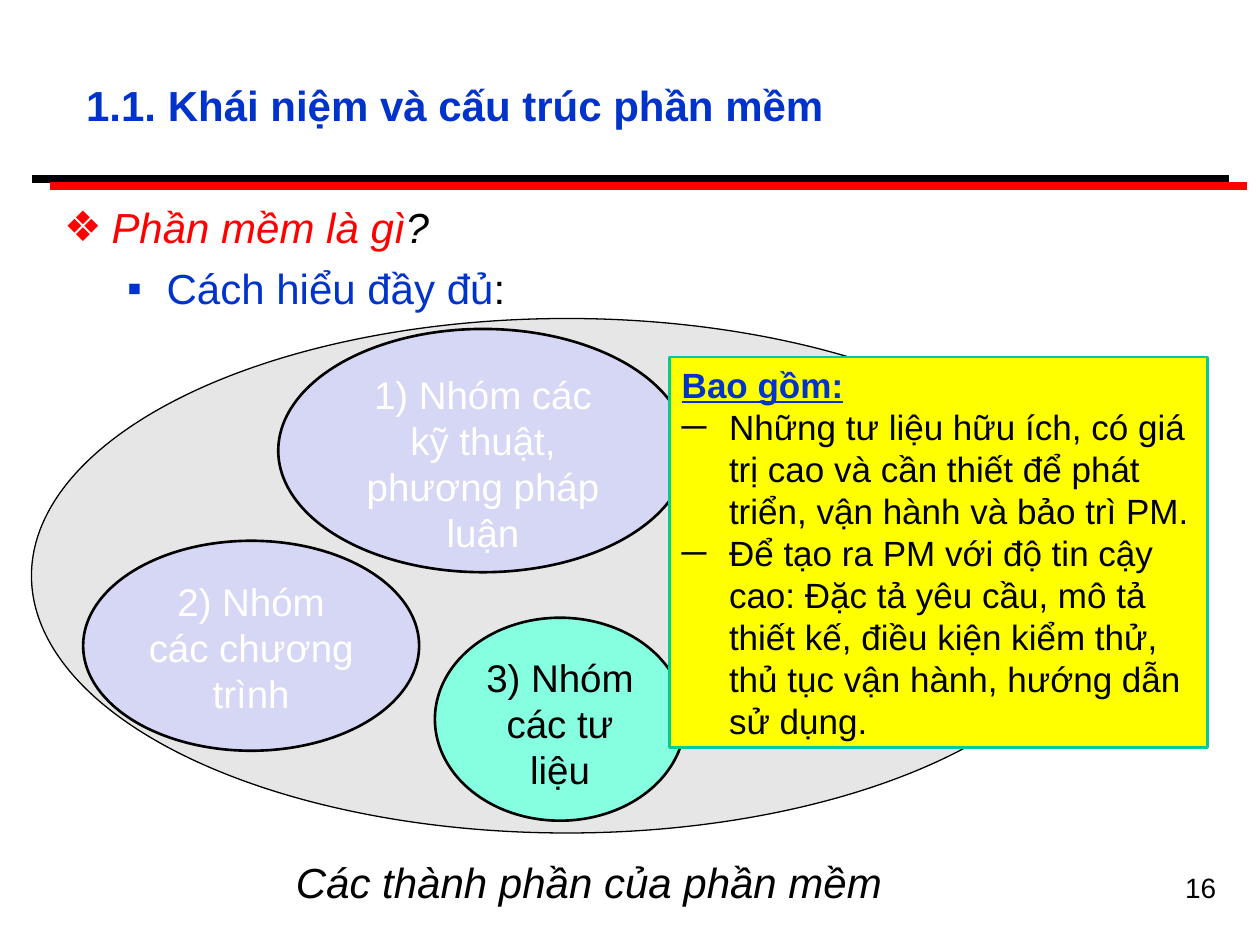
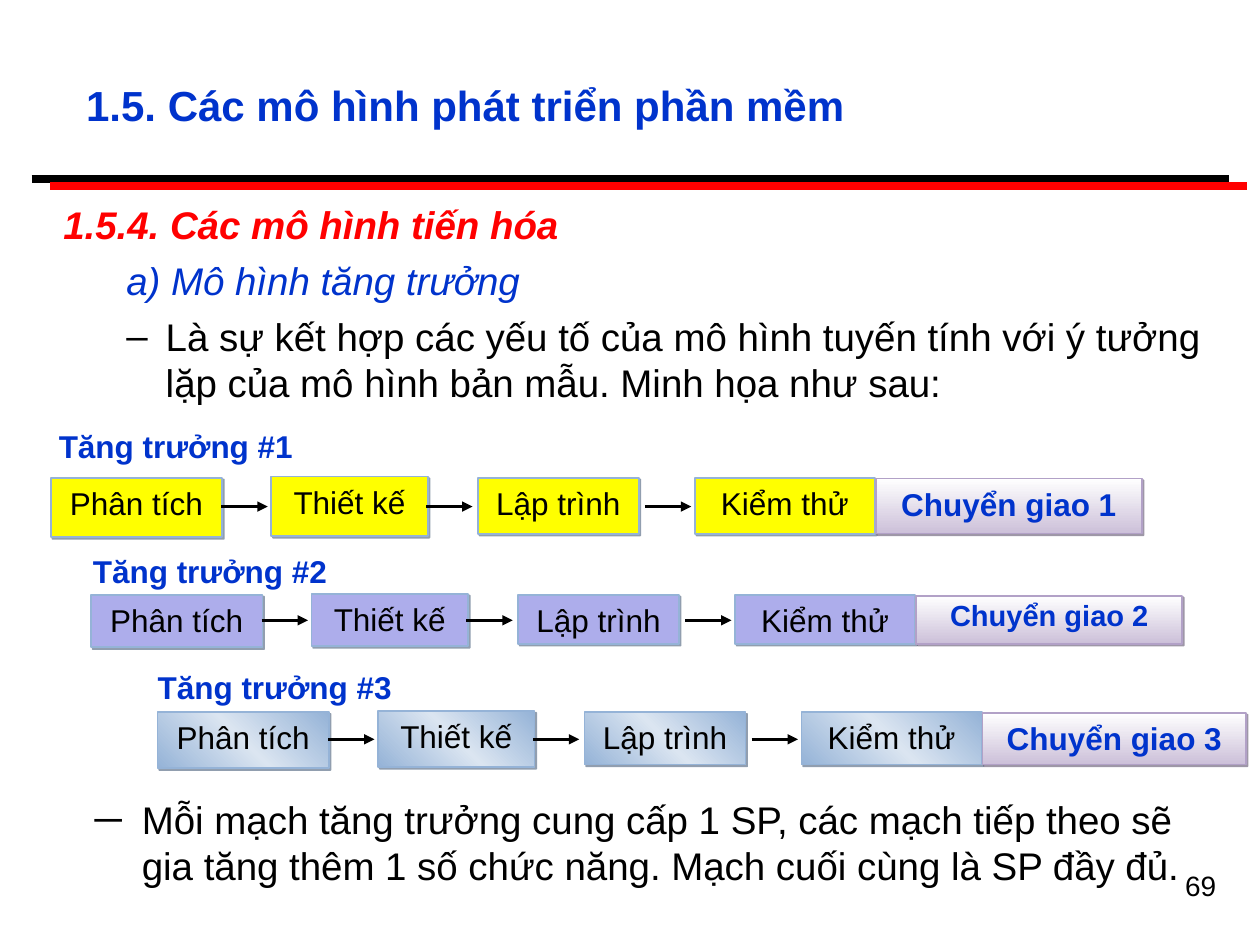
"""Build two lecture slides on software concepts and development models."""
import dataclasses

import lxml.etree
import pptx
import pptx.dml.color
import pptx.enum.shapes
import pptx.enum.text
import pptx.oxml
import pptx.oxml.ns
import pptx.util

Pt = pptx.util.Pt
Shape = pptx.enum.shapes.MSO_SHAPE
Align = pptx.enum.text.PP_ALIGN
Anchor = pptx.enum.text.MSO_ANCHOR
qn = pptx.oxml.ns.qn


@dataclasses.dataclass(frozen=True)
class Theme:
    font: str = "Arial"
    black: str = "000000"
    white: str = "FFFFFF"
    red: str = "FF0000"
    blue: str = "0033CC"
    yellow: str = "FFFF00"
    grey: str = "E6E6E6"
    lavender: str = "D6D6F5"
    mint: str = "85FFE0"
    green: str = "00CC99"
    violet: str = "ADADEB"
    step_line: str = "95B3D7"
    step_shadow: str = "243F60"
    step_gradient: tuple = ((0, "95B3D7"), (50, "DBE5F1"), (100, "95B3D7"))
    delivery_line: str = "B2A1C7"
    delivery_shadow: str = "3F3151"
    delivery_gradient: tuple = ((0, "FFFFFF"), (100, "CCC0D9"))
    heading: float = 24
    text: float = 22
    note: float = 20
    label: float = 18
    small_label: float = 16.6
    page: float = 16


THEME = Theme()


def apply(target, values):
    for name, value in values.items():
        setattr(target, name, value)


def rgb(color):
    return pptx.dml.color.RGBColor.from_string(color)


def run(text, size, color=THEME.black, **style):
    return text, color, {"size": Pt(size), "name": THEME.font, **style}


def item(*runs, indent=None, bullet=None, bullet_color=THEME.black, **style):
    return runs, indent, bullet, bullet_color, style


class Deck:
    def __init__(self, theme):
        self.theme = theme
        self.presentation = pptx.Presentation()
        apply(self.presentation, {"slide_width": Pt(720), "slide_height": Pt(540)})
        self.slide = None

    def add_slide(self, title, page, page_top):
        layout = self.presentation.slide_layouts[1]
        self.slide = self.presentation.slides.add_slide(layout)
        self.line((18, 102.25), (702, 102.25), self.theme.black, 4.5)
        self.line((28.8, 106.5), (712.8, 106.5), self.theme.red, 4.5)
        heading = run(title, self.theme.heading, self.theme.blue, bold=True)
        self.placeholder(self.slide.shapes.title, (42, 36, 654, 48),
                         [item(heading, alignment=Align.LEFT)], Anchor.MIDDLE)
        self.text_box((648, page_top, 54, 37.5),
                      [item(run(page, self.theme.page), alignment=Align.RIGHT)])

    def placeholder(self, shape, box, items, anchor=Anchor.TOP):
        apply(shape, dict(zip(("left", "top", "width", "height"), map(Pt, box))))
        self.fill_text(shape.text_frame, items, anchor)

    def body(self, box, items):
        self.placeholder(self.slide.placeholders[1], box, items)

    def text_box(self, box, items):
        shape = self.slide.shapes.add_textbox(*map(Pt, box))
        self.fill_text(shape.text_frame, items)

    def shape(self, kind, box, fill, line=None, width=1.5, items=(), angle=0, shadow=None):
        shape = self.slide.shapes.add_shape(kind, *map(Pt, box))
        if isinstance(fill, str):
            shape.fill.solid()
            shape.fill.fore_color.rgb = rgb(fill)
        else:
            self.gradient(shape, fill, angle)
        if line:
            shape.line.color.rgb = rgb(line)
            shape.line.width = Pt(width)
        else:
            shape.line.fill.background()
        shape.shadow.inherit = False
        if shadow:
            self.shadow(shape, shadow)
        if items:
            self.fill_text(shape.text_frame, items)

    def gradient(self, shape, stops, angle):
        fill = pptx.oxml.parse_xml(f"<a:gradFill {pptx.oxml.ns.nsdecls('a')}/>")
        stop_list = lxml.etree.SubElement(fill, qn("a:gsLst"))
        for position, color in stops:
            stop = lxml.etree.SubElement(stop_list, qn("a:gs"), pos=str(position * 1000))
            lxml.etree.SubElement(stop, qn("a:srgbClr"), val=color)
        lxml.etree.SubElement(fill, qn("a:lin"), ang=str(angle * 60000), scaled="0")
        shape._element.spPr.find(qn("a:prstGeom")).addnext(fill)

    def shadow(self, shape, color):
        effects = shape._element.spPr.find(qn("a:effectLst"))
        outer = lxml.etree.SubElement(effects, qn("a:outerShdw"), blurRad="0",
                                      dist=str(Pt(1.4)), dir="2700000",
                                      algn="ctr", rotWithShape="0")
        tint = lxml.etree.SubElement(outer, qn("a:srgbClr"), val=color)
        lxml.etree.SubElement(tint, qn("a:alpha"), val="50000")

    def line(self, start, end, color, width, arrow=False):
        connector = self.slide.shapes.add_connector(
            pptx.enum.shapes.MSO_CONNECTOR.STRAIGHT, *map(Pt, start + end))
        connector.line.color.rgb = rgb(color)
        connector.line.width = Pt(width)
        if arrow:
            lxml.etree.SubElement(connector._element.spPr.find(qn("a:ln")),
                                  qn("a:tailEnd"), type="triangle")
        lxml.etree.SubElement(connector._element.spPr, qn("a:effectLst"))

    def fill_text(self, frame, items, anchor=Anchor.TOP):
        apply(frame, {"word_wrap": True, "vertical_anchor": anchor,
                      "auto_size": pptx.enum.text.MSO_AUTO_SIZE.NONE,
                      "margin_left": Pt(7.2), "margin_right": Pt(7.2),
                      "margin_top": Pt(3.6), "margin_bottom": Pt(3.6)})
        for index, (runs, indent, bullet, bullet_color, style) in enumerate(items):
            paragraph = frame.add_paragraph() if index else frame.paragraphs[0]
            if indent:
                self.indent(paragraph, indent, bullet, bullet_color)
            apply(paragraph, {"space_before": Pt(0), **style})
            for text, color, values in runs:
                piece = paragraph.add_run()
                piece.text = text
                apply(piece.font, values)
                piece.font.color.rgb = rgb(color)

    def indent(self, paragraph, indent, bullet, color):
        properties = paragraph._p.get_or_add_pPr()
        for name, value in zip(("marL", "indent"), indent):
            properties.set(name, str(Pt(value)))
        if bullet:
            tint = lxml.etree.SubElement(properties, qn("a:buClr"))
            lxml.etree.SubElement(tint, qn("a:srgbClr"), val=color)
            lxml.etree.SubElement(properties, qn("a:buFont"), typeface=self.theme.font)
            lxml.etree.SubElement(properties, qn("a:buChar"), char=bullet)
        else:
            lxml.etree.SubElement(properties, qn("a:buNone"))


HANGING = (27, -27)
SECOND_LEVEL = (58.5, -22.5)


def add_concept_slide(deck):
    theme = deck.theme
    deck.add_slide("1.1. Khái niệm và cấu trúc phần mềm", "16", 494)
    deck.body((29.5, 111.5, 672, 404), [
        item(run("Phần mềm là gì", theme.heading, theme.red, italic=True),
             run("?", theme.heading, italic=True),
             indent=HANGING, bullet="❖", bullet_color=theme.red),
        item(run("Cách hiểu đầy đủ", theme.heading, theme.blue), run(":", theme.heading),
             indent=SECOND_LEVEL, bullet="▪", bullet_color=theme.blue,
             level=1, space_before=Pt(6)),
    ])
    deck.shape(Shape.OVAL, (18, 182, 612, 294), theme.grey, theme.black, 0.75)
    caption = run("Các thành phần của phần mềm", theme.heading, italic=True)
    deck.shape(Shape.RECTANGLE, (162, 486, 372, 48), theme.white,
               items=[item(caption, alignment=Align.LEFT, space_after=Pt(10))])
    groups = [
        ("1) Nhóm các kỹ thuật, phương pháp luận", (159, 188, 234, 139),
         theme.lavender, theme.white),
        ("2) Nhóm các chương trình", (47.5, 309, 192, 120), theme.lavender, theme.white),
        ("3) Nhóm các tư liệu", (248.5, 353, 143, 116), theme.mint, theme.black),
    ]
    for text, box, fill, color in groups:
        deck.shape(Shape.OVAL, box, fill, theme.black,
                   items=[item(run(text, theme.text, color), alignment=Align.CENTER)])
    documents = [
        "Những tư liệu hữu ích, có giá trị cao và cần thiết để phát triển, "
        "vận hành và bảo trì PM.",
        "Để tạo ra PM với độ tin cậy cao: Đặc tả yêu cầu, mô tả thiết kế, "
        "điều kiện kiểm thử, thủ tục vận hành, hướng dẫn sử dụng.",
    ]
    heading = run("Bao gồm:", theme.note, theme.blue, bold=True, underline=True)
    deck.shape(Shape.RECTANGLE, (382.5, 204, 307.5, 223), theme.yellow, theme.green, items=[
        item(heading, indent=HANGING, alignment=Align.LEFT),
        *(item(run(text, theme.note), indent=HANGING, bullet="─", alignment=Align.LEFT)
          for text in documents),
    ])


def add_increment(deck, number, left, top, height, fill, label_box, delivery_width, delivery_style):
    theme = deck.theme
    steps = [("Phân tích", 0, 0, 98, 0), ("Thiết kế", 126, -0.7, 89.5, 0),
             ("Lập trình", 244, 0, 92, 2), ("Kiểm thử", 368, 0, 103, 2)]
    for text, offset, rise, width, trim in steps:
        deck.shape(Shape.RECTANGLE, (left + offset, top + rise, width, height - trim),
                   fill, theme.step_line, 1, angle=315, shadow=theme.step_shadow,
                   items=[item(run(text, theme.label), alignment=Align.CENTER,
                               space_after=Pt(10))])
    size, spacing = delivery_style
    delivery = run(f"Chuyển giao {number}", size, theme.blue, bold=True)
    deck.shape(Shape.RECTANGLE, (left + 471.5, top + 0.4, delivery_width, height - 2.5),
               theme.delivery_gradient, theme.delivery_line, 1, angle=90,
               shadow=theme.delivery_shadow,
               items=[item(delivery, alignment=Align.CENTER, line_spacing=spacing,
                           space_after=Pt(10))])
    middle = top + (height - 1) / 2
    for offset in (97.5, 214.5, 339.5):
        start = left + offset
        deck.line((start, middle), (start + 26.5, middle), theme.black, 1.5, arrow=True)
    label = run(f"Tăng trưởng #{number}", theme.label, theme.blue, bold=True)
    deck.text_box((*label_box, 162, 29), [item(label)])


def add_growth_slide(deck):
    theme = deck.theme
    deck.add_slide("1.5. Các mô hình phát triển phần mềm", "69", 492.5)
    second = {"indent": SECOND_LEVEL, "level": 1, "space_before": Pt(5.5)}
    deck.body((29, 111.5, 691, 128), [
        item(run("1.5.4. Các mô hình tiến hóa", theme.text, theme.red, bold=True, italic=True),
             indent=HANGING),
        item(run("a) Mô hình tăng trưởng", theme.text, theme.blue, italic=True), **second),
        item(run("Là sự kết hợp các yếu tố của mô hình tuyến tính với ý tưởng lặp "
                 "của mô hình bản mẫu. Minh họa như sau:", theme.text),
             bullet="–", **second),
    ])
    regular, reduced = (theme.label, 1.0), (theme.small_label, 0.9)
    increments = [
        (29, 34, theme.yellow, (26.5, 240.5), 152, regular),
        (52, 30, theme.violet, (46, 312), 152, reduced),
        (90, 32, theme.step_gradient, (83, 378), 150.5, regular),
    ]
    for index, (left, *rest) in enumerate(increments):
        add_increment(deck, index + 1, left, 273 + 67 * index, *rest)
    deck.text_box((47, 451.5, 642, 60.5), [
        item(run("Mỗi mạch tăng trưởng cung cấp 1 SP, các mạch tiếp theo sẽ gia tăng "
                 "thêm 1 số chức năng. Mạch cuối cùng là SP đầy đủ.", theme.text),
             indent=HANGING, bullet="─"),
    ])


def main():
    deck = Deck(THEME)
    add_concept_slide(deck)
    add_growth_slide(deck)
    deck.presentation.save("out.pptx")


if __name__ == "__main__":
    main()
